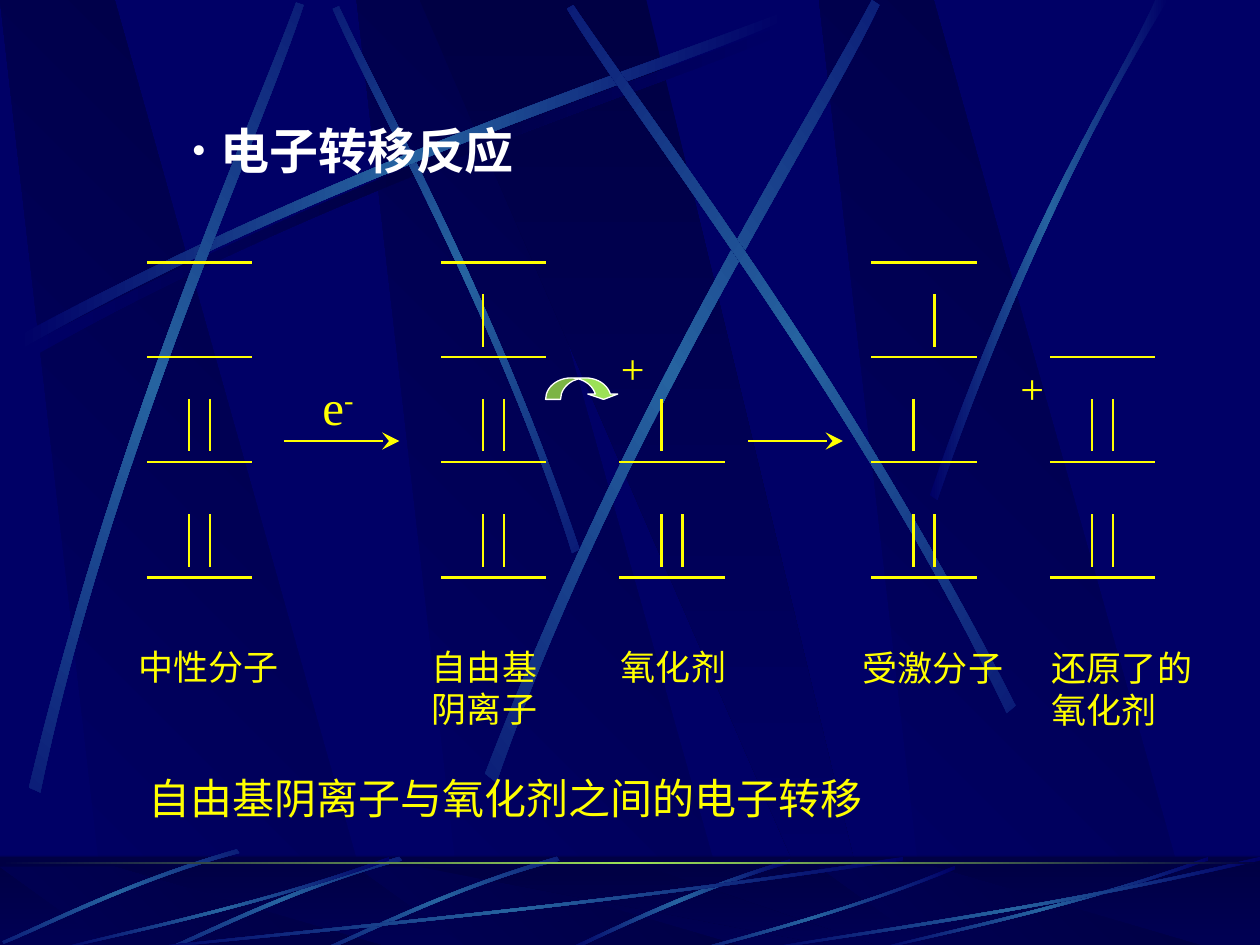
"""Builds the slide on electron transfer between a radical anion and an oxidant."""
from copy import deepcopy
from dataclasses import dataclass
from math import cos, radians, sin

from pptx import Presentation
from pptx.dml.color import RGBColor
from pptx.enum.shapes import MSO_CONNECTOR, MSO_SHAPE
from pptx.enum.text import MSO_ANCHOR, MSO_AUTO_SIZE, PP_ALIGN
from pptx.oxml.ns import qn
from pptx.util import Cm, Pt

STRAIGHT = MSO_CONNECTOR.STRAIGHT
RECTANGLE = MSO_SHAPE.RECTANGLE
CURVED_ARROW = MSO_SHAPE.CURVED_DOWN_ARROW
TOP = MSO_ANCHOR.TOP
LEFT = PP_ALIGN.LEFT
FIT_SHAPE = MSO_AUTO_SIZE.SHAPE_TO_FIT_TEXT

GRID_CM = 2.54
SLIDE_WIDTH, SLIDE_HEIGHT = 10, 7.5
FLOOR_TOP = 6.88
STEP = 1 / 12
LEVEL_STEPS = (55, 44, 34, 25)
LEVEL_WIDTH = 10
ELECTRON_OFFSETS = (4, 6)


@dataclass(frozen=True)
class Theme:
    """Colours, fonts and type sizes of the slide."""
    navy: str = "000066"
    dark: str = "000044"
    streak: str = "2663A0"
    green: str = "9CE157"
    white: str = "FFFFFF"
    yellow: str = "FFFF00"
    heading_font: str = "Arial"
    text_font: str = "Times New Roman"
    heading: int = 28
    caption: int = 24
    label: int = 20


THEME = Theme()
STREAK_COLORS = (THEME.navy, THEME.streak, THEME.navy)
SHADE_COLORS = (THEME.navy, THEME.dark, THEME.navy)

BAND_LEFTS = (2.83, 0, 6.5)
BAND = ((0.86, 1), (3.02, 1), (0.91, 0), (0, 0))
WIDE_BAND = ((3.33, 0), (6.58, 1), (6.94, 1), (5.13, 0))

SHADE_STREAK = ((0.2, 2.75), (2.84, 1.34), (5.24, 0.59), (6.26, 0.18),
                (6.29, 0.24), (5.28, 0.69), (2.54, 1.51), (0.23, 2.85))
WALL_STREAKS = (
    (45, ((4.6, 4.36), (3.91, 2.34), (3.02, 0.77), (2.69, 0.05),
          (2.64, 0.07), (2.95, 0.79), (3.98, 2.58), (4.54, 4.39))),
    (0, ((0.14, 2.67), (2.78, 1.25), (5.18, 0.51), (6.2, 0.1),
         (6.23, 0.16), (5.22, 0.61), (2.48, 1.43), (0.17, 2.77))),
    (311.7, ((0.23, 6.25), (0.93, 3.34), (1.97, 1.05), (2.35, 0.02),
             (2.41, 0.04), (2.07, 1.08), (0.86, 3.68), (0.32, 6.29))),
    (321.6, ((3.85, 6.14), (4.98, 3.2), (6.38, 1.02), (6.92, 0),
             (6.98, 0.04), (6.49, 1.08), (4.86, 3.55), (3.94, 6.21))),
    (34.8, ((8.06, 5.6), (6.7, 2.93), (5.16, 0.95), (4.55, 0.04),
            (4.5, 0.07), (5.07, 1.01), (6.85, 3.25), (7.99, 5.66))),
    (0, ((7.38, 3.93), (8.14, 1.73), (8.88, 0.66), (9.17, 0),
         (9.27, 0), (8.36, 1.45), (7.69, 3.22), (7.44, 3.97))),
)
SHORT_STREAK = ((1.86, 0.03), (0.99, 0.28), (0.31, 0.63), (0, 0.76),
                (0.01, 0.78), (0.32, 0.66), (1.09, 0.26), (1.88, 0.06))
LONG_STREAK = ((1, 0.03), (0.57, 0.43), (0.17, 0.64), (0, 0.75),
               (0, 0.74), (0.17, 0.61), (0.62, 0.38), (1, 0))
STEEP_STREAK = ((6.27, 6.82), (5.37, 7.09), (4.77, 7.42), (4.48, 7.54),
                (4.53, 7.55), (4.9, 7.37), (5.71, 7), (6.28, 6.85))
SHORT_STREAK_ORIGINS = ((2.56, 6.77), (1.31, 6.77), (0.02, 6.71))
LONG_STREAK_SPANS = ((1, 6.17, 6.8), (0.42, 2.67, 6.8), (5.27, 2.31, 6.87),
                     (6.92, 2.67, 6.8), (6, 4, 6.8))

MOLECULES = (
    ("中性分子", 14, 4, ((0, 0), (0, 1), (1, 0), (1, 1)), (1, 5.07, 1.67, 0.44)),
    ("自由基阴离子", 42, 4, ((0, 0), (0, 1), (1, 0), (1, 1), (2, 0)),
     (3.33, 5.07, 1.17, 0.77)),
    ("氧化剂", 59, 2, ((0, 0), (0, 1), (1, 0)), (4.83, 5.07, 1.08, 0.44)),
    ("受激分子", 83, 4, ((0, 0), (0, 1), (1, 0), (2, 1)), (6.75, 5.08, 1.42, 0.44)),
    ("还原了的氧化剂", 100, 3, ((0, 0), (0, 1), (1, 0), (1, 1)),
     (8.25, 5.08, 1.58, 0.77)),
)


def place(*lengths):
    """Converts slide grid units to lengths."""
    return [Cm(length * GRID_CM) for length in lengths]


def fill_gradient(shape, colors, angle):
    """Fills a shape with evenly spaced colours along a clockwise angle."""
    shape.shadow.inherit = False
    shape.line.fill.background()
    shape.fill.gradient()
    shape.fill.gradient_angle = -angle % 360
    stops = shape._element.spPr.find(".//" + qn("a:gsLst"))
    if len(colors) == 3:
        stops.append(deepcopy(stops[0]))
    for index, (stop, color) in enumerate(zip(shape.fill.gradient_stops, colors)):
        stop.position = index / (len(colors) - 1)
        stop.color.rgb = RGBColor.from_string(color)


def add_outline(slide, points, colors, angle):
    """Draws a closed outline with a gradient fill."""
    start, *rest = [place(*point) for point in points]
    builder = slide.shapes.build_freeform(*start, scale=1.0)
    builder.add_line_segments(rest, close=True)
    outline = builder.convert_to_shape()
    fill_gradient(outline, colors, angle)
    return outline


def turn(point, angle):
    """Turns a point clockwise about the slide origin."""
    x, y = point
    c, s = cos(radians(angle)), sin(radians(angle))
    return x * c - y * s, x * s + y * c


def unturn_outline(points, angle):
    """Finds the outline that shows as these points once its shape is rotated."""
    level = [turn(point, -angle) for point in points]
    center = [(min(axis) + max(axis)) / 2 for axis in zip(*level)]
    shown = turn(center, angle)
    return [(x + shown[0] - center[0], y + shown[1] - center[1]) for x, y in level]


def add_streak(slide, controls, angle=0, colors=STREAK_COLORS):
    """Draws a tapering streak between two cubic edges."""
    streak = add_outline(slide, unturn_outline(controls, angle), colors, 0)
    streak.rotation = angle
    segments = list(streak._element.spPr.iter(qn("a:lnTo")))
    for edge in (segments[:3], segments[4:7]):
        curve = edge[0].makeelement(qn("a:cubicBezTo"), {})
        edge[0].addprevious(curve)
        for segment in edge:
            curve.append(segment[0])
            segment.getparent().remove(segment)


def add_bands(slide, top, bottom):
    """Draws the slanted background bands between two heights."""
    def stretch(points, left=0):
        return [(left + x, top + y * (bottom - top)) for x, y in points]

    for left in BAND_LEFTS:
        add_outline(slide, stretch(BAND, left), (THEME.navy, THEME.dark), 315)
    add_outline(slide, stretch(WIDE_BAND), (THEME.dark, THEME.navy), 90)


def add_strip(slide, top, height, colors, angle):
    """Draws a gradient strip across the whole slide."""
    strip = slide.shapes.add_shape(RECTANGLE, *place(0, top, SLIDE_WIDTH, height))
    fill_gradient(strip, colors, angle)
    return strip


def add_backdrop(slide):
    """Draws the wall, the floor and the streaks over them."""
    slide.background.fill.solid()
    slide.background.fill.fore_color.rgb = RGBColor.from_string(THEME.navy)
    add_bands(slide, 0, SLIDE_HEIGHT)
    add_streak(slide, SHADE_STREAK, colors=SHADE_COLORS)
    for angle, controls in WALL_STREAKS:
        add_streak(slide, controls, angle)

    add_strip(slide, 6.8, 0.7, (THEME.dark, THEME.navy), 90)
    add_bands(slide, FLOOR_TOP, SLIDE_HEIGHT)
    veil = add_strip(slide, 6.79, 0.71, (THEME.dark, THEME.dark), 0)
    veil.fill.solid()
    veil.fill.fore_color.rgb = RGBColor.from_string(THEME.dark)
    veil_color = veil._element.spPr.find(".//" + qn("a:srgbClr"))
    veil_color.append(veil_color.makeelement(qn("a:alpha"), {"val": "50000"}))

    add_streak(slide, STEEP_STREAK)
    for left, top in SHORT_STREAK_ORIGINS:
        add_streak(slide, [(left + x, top + y) for x, y in SHORT_STREAK], 314.9)
    for left, width, top in LONG_STREAK_SPANS:
        add_streak(slide, [(left + x * width, top + y) for x, y in LONG_STREAK])
    add_strip(slide, 6.84, 0.02, (THEME.dark, THEME.green, THEME.dark), 0)


def add_line(slide, start, end, weight=1.5, arrow=False):
    """Draws a yellow line, with an arrowhead if asked."""
    line = slide.shapes.add_connector(STRAIGHT, *place(*start, *end))
    line.line.color.rgb = RGBColor.from_string(THEME.yellow)
    line.line.width = Pt(weight)
    properties = line._element.spPr
    if arrow:
        head = {"type": "stealth", "w": "lg", "len": "lg"}
        outline = properties.find(qn("a:ln"))
        outline.append(outline.makeelement(qn("a:tailEnd"), head))
    properties.append(properties.makeelement(qn("a:effectLst"), {}))


def style_font(paragraph, size, color=THEME.yellow, name=THEME.text_font):
    """Sets the font of a whole paragraph."""
    paragraph.font.size = Pt(size)
    paragraph.font.name = name
    paragraph.font.color.rgb = RGBColor.from_string(color)


def add_text(slide, text, box, size, superscript=""):
    """Adds a yellow text box, with a superscript if given."""
    frame = slide.shapes.add_textbox(*place(*box)).text_frame
    frame.word_wrap = True
    frame.auto_size = FIT_SHAPE
    paragraph = frame.paragraphs[0]
    paragraph.add_run().text = text
    if superscript:
        raised = paragraph.add_run()
        raised.text = superscript
        raised.font._element.set("baseline", "30000")
    style_font(paragraph, size)


def add_heading(slide, text, box):
    """Puts the bulleted heading in the title placeholder, above the backdrop."""
    title = slide.shapes.title
    slide.shapes._spTree.append(title._element)
    title.left, title.top, title.width, title.height = place(*box)
    frame = title.text_frame
    frame.text = text
    frame.vertical_anchor = TOP
    frame.word_wrap = True
    frame.auto_size = FIT_SHAPE
    paragraph = frame.paragraphs[0]
    paragraph.alignment = LEFT
    properties = paragraph._p.get_or_add_pPr()
    indent = Cm(0.58)
    properties.set("marL", str(indent))
    properties.set("indent", str(-indent))
    bullet_color = properties.makeelement(qn("a:buClr"), {})
    bullet_color.append(properties.makeelement(qn("a:srgbClr"), {"val": THEME.white}))
    properties.append(bullet_color)
    for tag, key, value in (("a:buSzPct", "val", "85000"),
                            ("a:buFont", "typeface", THEME.text_font),
                            ("a:buChar", "char", "•")):
        properties.append(properties.makeelement(qn(tag), {key: value}))
    style_font(paragraph, THEME.heading, THEME.white, THEME.heading_font)
    paragraph.font.bold = True


def add_molecule(slide, name, left, level_count, electrons, label_box):
    """Draws the energy levels, electrons and label of one molecule."""
    for level in LEVEL_STEPS[:level_count]:
        add_line(slide, (left * STEP, level * STEP),
                 ((left + LEVEL_WIDTH) * STEP, level * STEP))
    for index, slot in electrons:
        x, level = (left + ELECTRON_OFFSETS[slot]) * STEP, LEVEL_STEPS[index]
        add_line(slide, (x, (level - 6) * STEP), (x, (level - 1) * STEP))
    add_text(slide, name, label_box, THEME.label)


def add_transfer_arrow(slide, box):
    """Draws the curved arrow from the anion to the oxidant."""
    arrow = slide.shapes.add_shape(CURVED_ARROW, *place(*box))
    arrow.shadow.inherit = False
    arrow.adjustments[0], arrow.adjustments[1] = 0.7, 1.4
    arrow.fill.solid()
    arrow.fill.fore_color.rgb = RGBColor.from_string(THEME.green)
    arrow.line.color.rgb = RGBColor.from_string(THEME.white)
    arrow.line.width = Pt(0.75)


def main():
    """Builds and saves the slide."""
    deck = Presentation()
    deck.slide_width, deck.slide_height = place(SLIDE_WIDTH, SLIDE_HEIGHT)
    slide = deck.slides.add_slide(deck.slide_layouts[5])
    add_backdrop(slide)
    add_heading(slide, "电子转移反应", (1.42, 0.91, 4.75, 0.57))
    for molecule in MOLECULES:
        add_molecule(slide, *molecule)
    for start, end in ((2.25, 3.17), (5.94, 6.69)):
        add_line(slide, (start, 3.5), (end, 3.5), weight=1, arrow=True)
    add_text(slide, "e", (2.46, 2.94, 0.5, 0.57), THEME.heading, "-")
    add_transfer_arrow(slide, (4.33, 3, 0.58, 0.17))
    add_text(slide, "+", (4.83, 2.67, 0.58, 0.5), THEME.caption)
    add_text(slide, "+", (8, 2.83, 0.39, 0.5), THEME.caption)
    add_text(slide, "自由基阴离子与氧化剂之间的电子转移", (1.08, 6.08, 5.92, 0.5),
             THEME.caption)
    deck.save("out.pptx")


if __name__ == "__main__":
    main()
